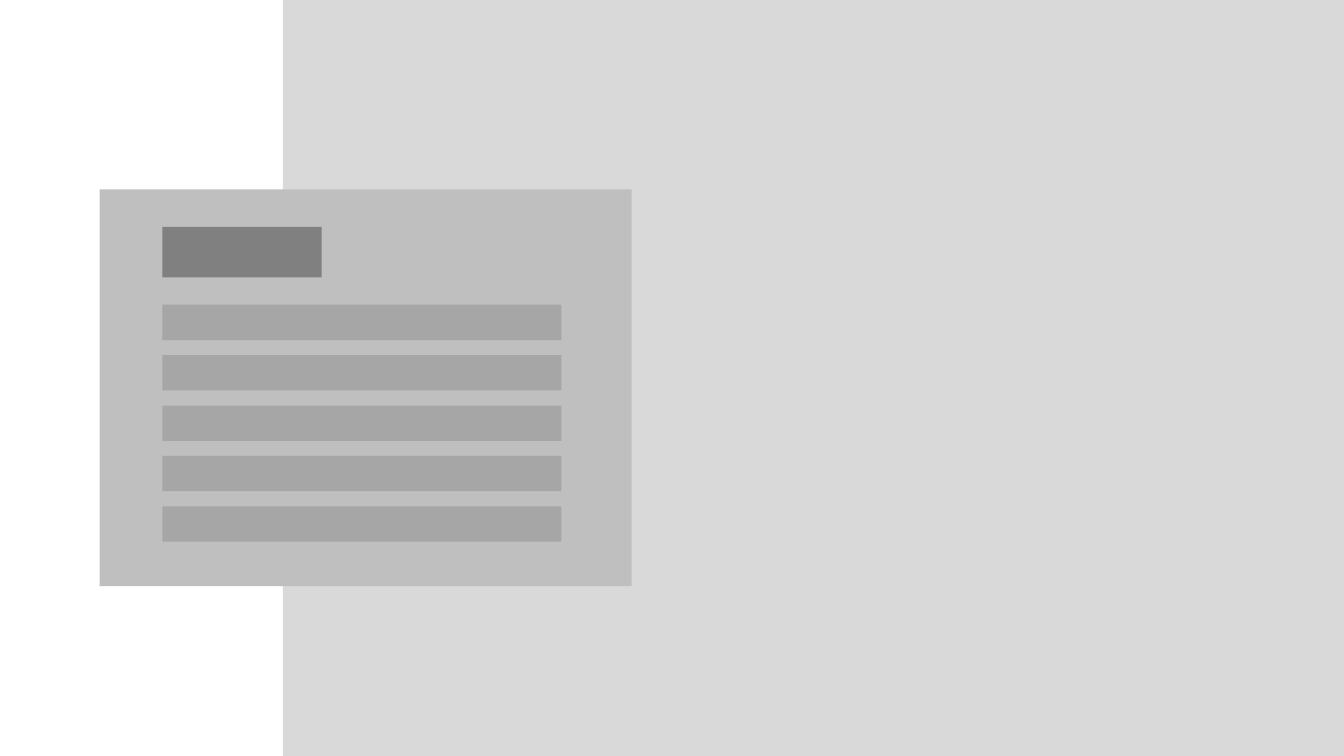
from pptx import Presentation
from pptx.dml.color import RGBColor
from pptx.enum.shapes import MSO_SHAPE
from pptx.util import Cm

SLIDE_WIDTH, SLIDE_HEIGHT = 33.87, 19.05
PANEL_LEFT = 7.13
CONTENT_LEFT = 4.09
LINE_COUNT, LINE_TOP, LINE_PITCH = 5, 7.68, 1.27


def colour(value):
    """Return the colour for a hex string."""
    return RGBColor.from_string(value)


class SlideBuilder:
    """Hold the grey palette and the current slide."""

    PANEL, CARD, HEADING, LINE = "D9D9D9", "BFBFBF", "808080", "A6A6A6"

    def __init__(self, slide):
        """Keep the slide and give it a white background."""
        self.slide = slide
        slide.background.fill.solid()
        slide.background.fill.fore_color.rgb = colour("FFFFFF")

    def block(self, left, top, width, height, fill):
        """Add a plain filled rectangle measured in centimetres."""
        shape = self.slide.shapes.add_shape(
            MSO_SHAPE.RECTANGLE, Cm(left), Cm(top), Cm(width), Cm(height))
        shape.shadow.inherit = False
        shape.fill.solid()
        shape.fill.fore_color.rgb = colour(fill)
        shape.line.fill.background()
        return shape


def main():
    """Build the wireframe slide and save it."""
    presentation = Presentation()
    presentation.slide_width = Cm(SLIDE_WIDTH)
    presentation.slide_height = Cm(SLIDE_HEIGHT)
    blank_layout = presentation.slide_layouts.get_by_name("Blank")
    builder = SlideBuilder(presentation.slides.add_slide(blank_layout))

    builder.block(PANEL_LEFT, 0, SLIDE_WIDTH - PANEL_LEFT, SLIDE_HEIGHT, builder.PANEL)
    builder.block(2.51, 4.77, 13.41, 10, builder.CARD)
    builder.block(CONTENT_LEFT, 5.72, 4.02, 1.27, builder.HEADING)
    for index in range(LINE_COUNT):
        line_top = LINE_TOP + index * LINE_PITCH
        builder.block(CONTENT_LEFT, line_top, 10.06, 0.89, builder.LINE)

    presentation.save("out.pptx")


if __name__ == "__main__":
    main()
